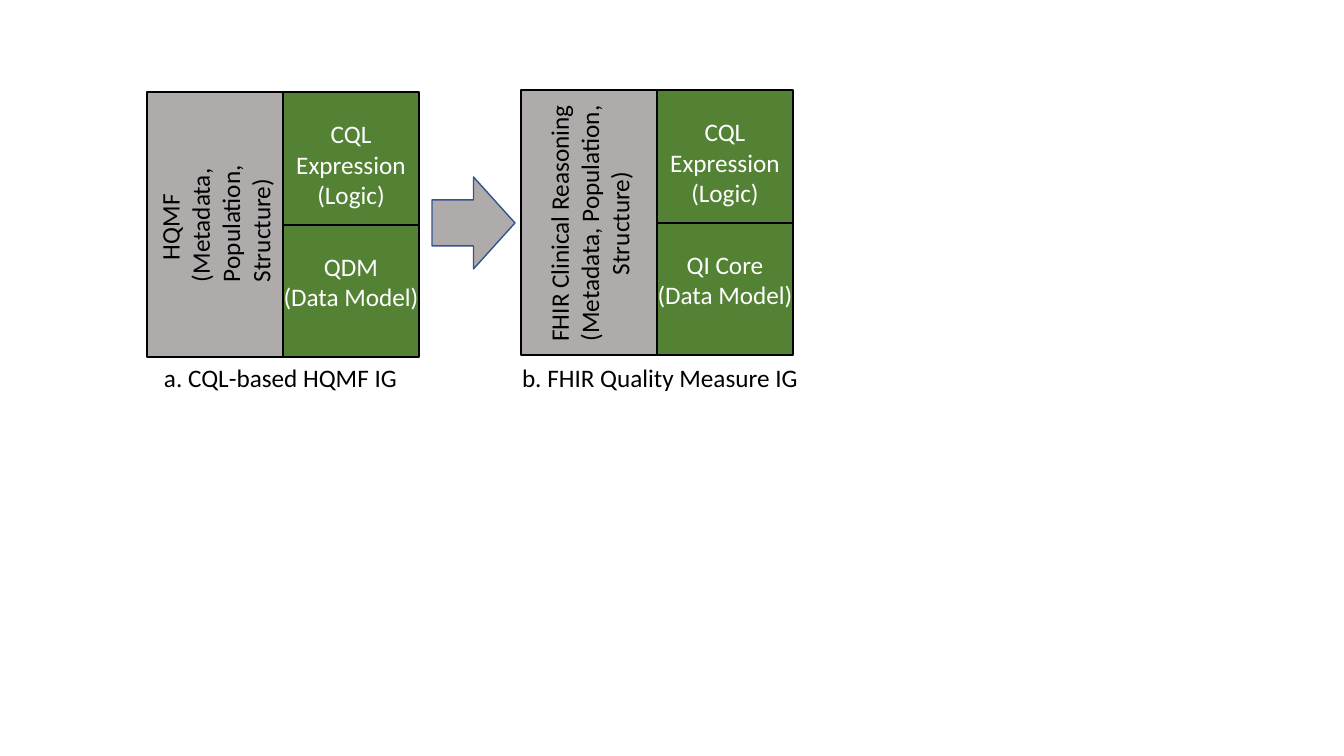
from pptx import Presentation
from pptx.dml.color import RGBColor
from pptx.enum.shapes import MSO_SHAPE as Preset
from pptx.enum.text import MSO_ANCHOR as Anchor, PP_ALIGN as Align
from pptx.util import Emu, Pt

PIXELS_PER_INCH = 100.8
GRAY = RGBColor(0xAF, 0xAB, 0xAB)
GREEN = RGBColor(0x54, 0x82, 0x35)
BLUE = RGBColor(0x32, 0x54, 0x91)
BLACK = RGBColor(0, 0, 0)
WHITE = RGBColor(0xFF, 0xFF, 0xFF)

COLUMN = 136
UPPER = 133
LOWER = 132


def px(pixels):
    return Emu(round(pixels * 914400 / PIXELS_PER_INCH))


def add_block(slide, preset, area, fill, line=BLACK):
    block = slide.shapes.add_shape(preset, *map(px, area))
    block.shadow.inherit = False
    block.fill.solid()
    block.fill.fore_color.rgb = fill
    block.line.color.rgb = line
    block.line.width = Pt(1)


def add_label(slide, area, lines, color, align=Align.CENTER, upward=False):
    box = slide.shapes.add_textbox(*map(px, area))
    frame = box.text_frame
    frame.word_wrap = True
    frame.vertical_anchor = Anchor.MIDDLE
    frame.margin_left = frame.margin_right = 0
    frame.margin_top = frame.margin_bottom = 0
    if upward:
        frame._txBody.bodyPr.set("vert", "vert270")
    frame.text = "\n".join(lines)
    for para in frame.paragraphs:
        para.alignment = align
        para.font.name = "Calibri"
        para.font.size = Pt(18)
        para.font.color.rgb = color
    return box


def indent(para, left):
    para._p.get_or_add_pPr().set("marL", str(px(left)))


def add_panel(slide, left, top, model):
    middle = left + COLUMN
    add_block(slide, Preset.RECTANGLE, (left, top, COLUMN, UPPER + LOWER), GRAY)
    add_block(slide, Preset.RECTANGLE, (middle, top, COLUMN, UPPER), GREEN)
    add_block(slide, Preset.RECTANGLE, (middle, top + UPPER, COLUMN, LOWER), GREEN)
    add_label(slide, (middle, top + 26, COLUMN, 92), ["CQL Expression", "(Logic)"], WHITE)
    add_label(slide, (middle, top + 159, COLUMN, 61), [model, "(Data Model)"], WHITE)


def main():
    deck = Presentation()
    deck.slide_width, deck.slide_height = px(1344), px(756)
    slide = deck.slides.add_slide(deck.slide_layouts[6])
    details = "(Metadata, Population, Structure)"

    add_panel(slide, 147, 92, "QDM")
    hqmf = add_label(slide, (154, 132, 122, 184), ["HQMF", details], BLACK, Align.LEFT, True)
    for para, left in zip(hqmf.text_frame.paragraphs, (56, 34)):
        indent(para, left)

    add_panel(slide, 521, 90, "QI Core")
    add_label(slide, (543, 92, 92, 263), ["FHIR Clinical Reasoning", details], BLACK, upward=True)

    add_block(slide, Preset.RIGHT_ARROW, (432, 177, 83, 92), GRAY, BLUE)
    add_label(slide, (147, 362, 267, 30), ["a. CQL-based HQMF IG"], BLACK)
    add_label(slide, (519, 362, 282, 30), ["b. FHIR Quality Measure IG"], BLACK)
    deck.save("out.pptx")


main()
